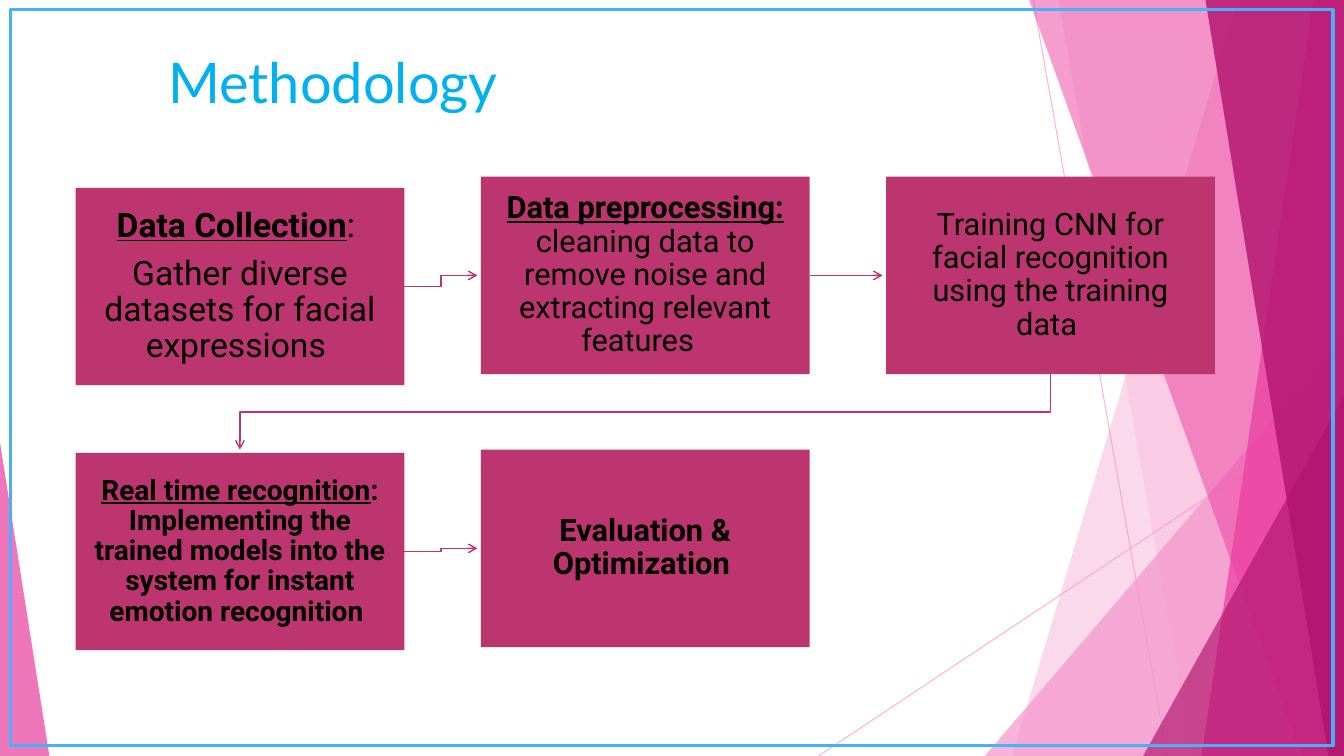
from lxml.etree import SubElement as Sub
from pptx import Presentation
from pptx.dml.color import RGBColor as RGB
from pptx.enum.shapes import MSO_CONNECTOR as Link, MSO_SHAPE as Kind
from pptx.enum.text import MSO_ANCHOR as Anchor, MSO_AUTO_SIZE as Auto, PP_ALIGN as Align
from pptx.oxml.ns import qn
from pptx.util import Inches, Pt


def tint(code):
    return RGB.from_string(code)


class Deck:
    """Draws on one slide with a grid of 160 columns by 90 rows."""

    unit = Inches(1 / 12)
    cols, rows = 160, 90
    pale, pink, deep, rose = "F496CB", "EB3D9F", "B2136D", "BC356F"
    ink, sky, edge = "000000", "00B0F0", "46B0F9"
    body, head = "Roboto", "Lato"

    def __init__(self):
        self.prs = Presentation()
        self.prs.slide_width = self.grid(self.cols)
        self.prs.slide_height = self.grid(self.rows)
        self.slide = self.prs.slides.add_slide(self.prs.slide_layouts[5])
        self.shapes = self.slide.shapes

    def grid(self, *cells):
        spots = [round(cell * self.unit) for cell in cells]
        return spots if len(spots) > 1 else spots[0]

    def fade(self, shape, tag, share):
        color = next(shape.element.spPr.iter(qn(tag))).find(".//" + qn("a:srgbClr"))
        Sub(color, qn("a:alpha"), val=str(share * 1000))

    def fill(self, shape, color, share=100):
        shape.shadow.inherit = False
        shape.fill.solid()
        shape.fill.fore_color.rgb = tint(color)
        shape.line.fill.background()
        if share < 100:
            self.fade(shape, "a:solidFill", share)

    def stroke(self, shape, color, width):
        shape.line.color.rgb = tint(color)
        shape.line.width = Pt(width)

    def outline(self, points, close=True):
        first, *rest = [self.grid(*point) for point in points]
        form = self.shapes.build_freeform(*first, scale=1.0)
        form.add_line_segments(rest, close=close)
        return form.convert_to_shape()

    def ribbon(self, top, foot, color, share):
        points = [(top, 0), (self.cols, 0), (self.cols, self.rows), (foot, self.rows)]
        self.fill(self.outline(points), color, share)

    def wedge(self, left, top, width, apex, color, share):
        spot = self.grid(left, top, width, self.rows - top)
        shape = self.shapes.add_shape(Kind.ISOSCELES_TRIANGLE, *spot)
        shape.adjustments[0] = apex
        self.fill(shape, color, share)

    def link(self, kind, start, end, color, width):
        line = self.shapes.add_connector(kind, *self.grid(*start, *end))
        self.stroke(line, color, width)
        Sub(line.element.spPr, qn("a:effectLst"))
        return line

    def ray(self, start, end):
        line = self.link(Link.STRAIGHT, start, end, self.pale, 0.75)
        self.fade(line, "a:ln", 70)

    def tip(self, shape):
        Sub(shape.element.spPr.find(qn("a:ln")), qn("a:tailEnd"), type="arrow")

    def arrow(self, start, end):
        kind = Link.STRAIGHT if start[1] == end[1] else Link.ELBOW
        self.tip(self.link(kind, start, end, self.rose, 1))

    def route(self, points):
        path = self.outline(points, close=False)
        path.shadow.inherit = False
        path.fill.background()
        self.stroke(path, self.rose, 1)
        self.tip(path)

    def frame(self, left, top, width, height):
        shape = self.shapes.add_shape(Kind.RECTANGLE, *self.grid(left, top, width, height))
        shape.shadow.inherit = False
        shape.fill.background()
        self.stroke(shape, self.edge, 2.25)

    def run(self, para, text, font, size, color, bold=False, under=False):
        run = para.add_run()
        run.text = text
        run.font.name, run.font.size = font, Pt(size)
        run.font.color.rgb = tint(color)
        run.font.bold, run.font.underline = bold, under

    def title(self, text, left, top, width, height):
        shape = self.shapes.title
        shape.left, shape.top, shape.width, shape.height = self.grid(left, top, width, height)
        frame = shape.text_frame
        frame.auto_size, frame.word_wrap = Auto.NONE, True
        frame.vertical_anchor = Anchor.TOP
        para = frame.paragraphs[0]
        para.alignment = Align.LEFT
        self.run(para, text, self.head, 40, self.sky)

    def card(self, left, top, width, height, size, paras):
        shape = self.shapes.add_shape(Kind.RECTANGLE, *self.grid(left, top, width, height))
        self.fill(shape, self.rose)
        frame = shape.text_frame
        frame.word_wrap, frame.vertical_anchor = True, Anchor.MIDDLE
        pad = self.grid(size * 0.095)
        frame.margin_left = frame.margin_right = pad
        frame.margin_top = frame.margin_bottom = pad
        for count, runs in enumerate(paras):
            para = frame.add_paragraph() if count else frame.paragraphs[0]
            para.alignment, para.line_spacing = Align.CENTER, 0.9
            para.space_after = Pt(size * 0.35)
            for text, bold, under in runs:
                self.run(para, text, self.body, size, self.ink, bold, under)

    def save(self):
        self.prs.save("out.pptx")


def decor(deck):
    deck.ray((123, 0), (138.96, 90))
    deck.ray((160, 48.36), (97.44, 90))
    deck.ribbon(147.36, 120.48, deck.pale, 36)
    deck.ribbon(126, 141.96, deck.pale, 20)
    deck.wedge(117.24, 40, 42.76, 1, deck.pale, 72)
    deck.ribbon(122.52, 154.92, deck.pink, 50)
    deck.ribbon(156.36, 143.04, deck.pink, 70)
    deck.ribbon(143.52, 158.16, deck.deep, 80)
    deck.wedge(136.08, 47.16, 23.92, 1, deck.deep, 66)
    deck.wedge(0, 52.68, 5.88, 0, deck.pink, 70)
    deck.frame(1.26, 1.08, 157.44, 87.72)


def flow(deck):
    wide, tall, gap = 39.14, 23.5, 0.4
    left = [9 + 48.24 * step for step in range(3)]
    cards = [
        (left[0], 22.36, 24, [
            [("Data Collection", True, True), (": ", False, False)],
            [("Gather diverse datasets for facial expressions ", False, False)]]),
        (left[1], 21.04, 22, [
            [("Data preprocessing: ", True, True),
             ("cleaning data to remove noise and extracting relevant features  ", False, False)]]),
        (left[2], 21.04, 22, [
            [("Training CNN for facial recognition using the training data ", False, False)]]),
        (left[0], 53.92, 20, [
            [("Real time recognition", True, True),
             (": Implementing the trained models into the system "
              "for instant emotion recognition ", True, False)]]),
        (left[1], 53.54, 22, [[("Evaluation & Optimization ", True, False)]]),
    ]
    for x, y, size, paras in cards:
        deck.card(x, y, wide, tall, size, paras)
    for (x, y, *_), (far, low, *_) in zip(cards, cards[1:]):
        if far > x:
            deck.arrow((x + wide, y + tall / 2), (far - gap, low + tall / 2))
        else:
            start, end, base = x + wide / 2, far + wide / 2, y + tall
            turn = (base + low - gap) / 2
            deck.route([(start, base), (start, turn), (end, turn), (end, low - gap)])


def main():
    deck = Deck()
    decor(deck)
    deck.title("Methodology", 18.84, 5.04, 84.6, 9.24)
    flow(deck)
    deck.save()


if __name__ == "__main__":
    main()
